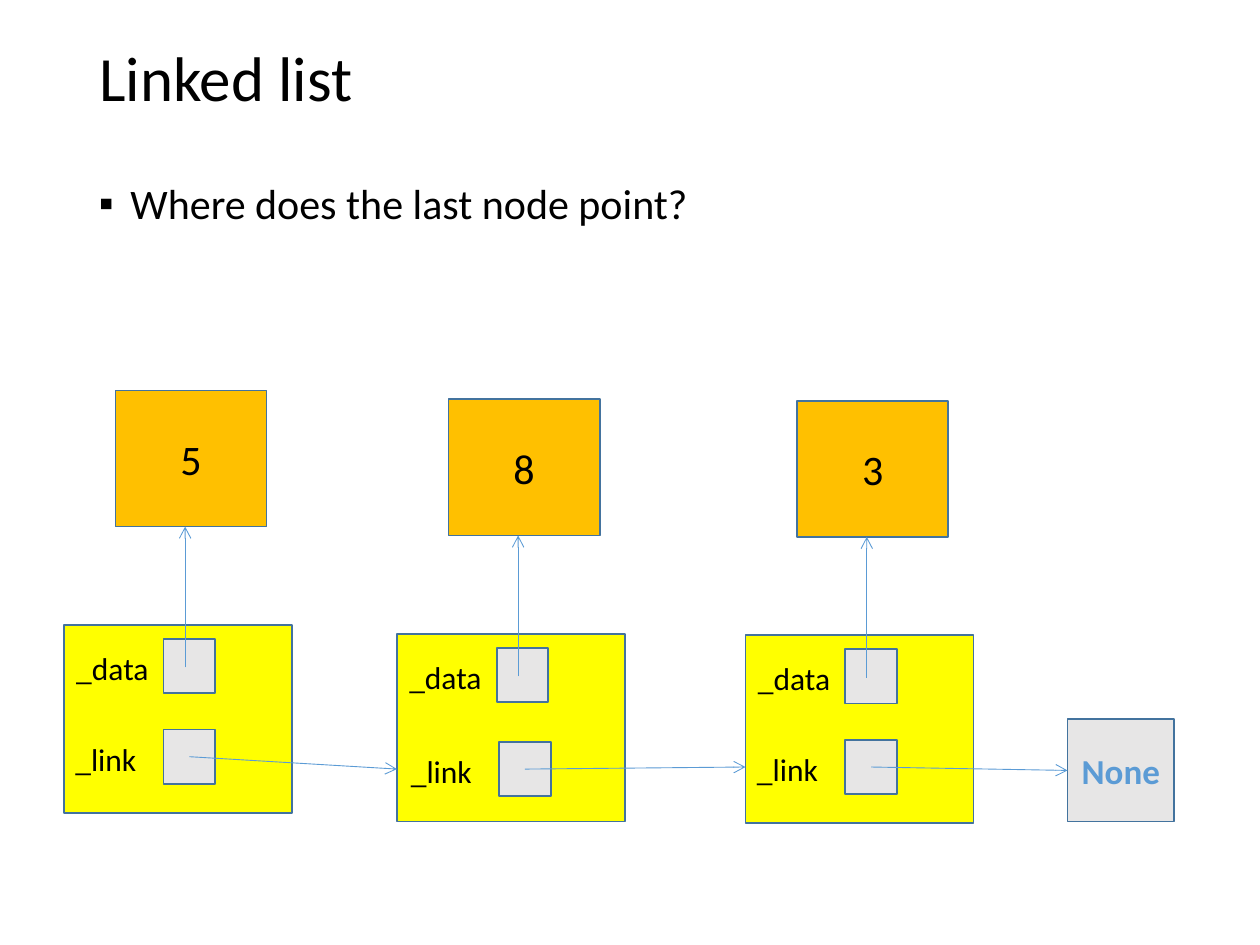
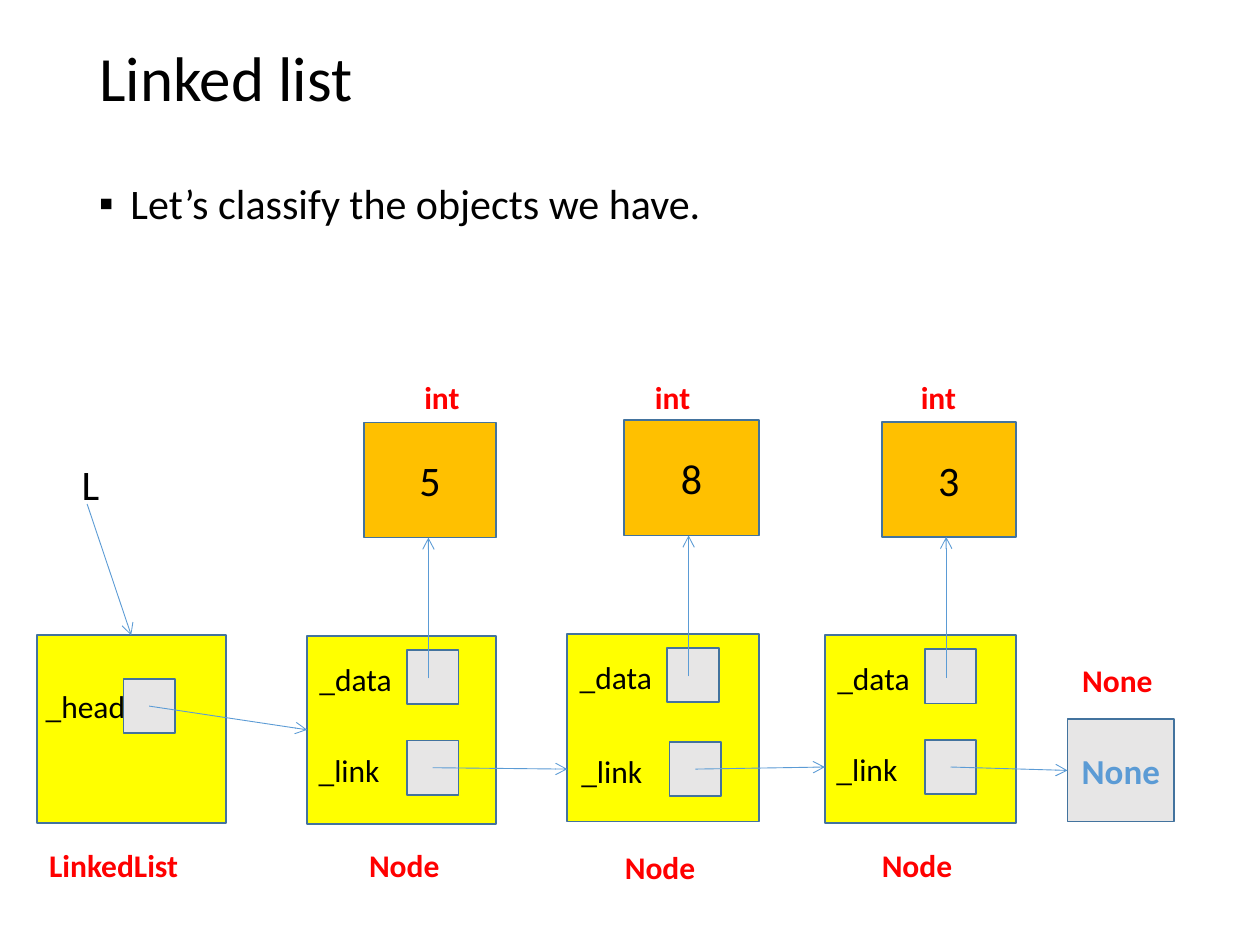
from dataclasses import dataclass

from lxml.etree import SubElement
from pptx import Presentation
from pptx.dml.color import RGBColor
from pptx.enum.shapes import MSO_CONNECTOR, MSO_SHAPE
from pptx.enum.text import MSO_ANCHOR, PP_ALIGN
from pptx.oxml.ns import qn
from pptx.util import Pt

FONT = "Calibri"
BLACK = RGBColor(0x00, 0x00, 0x00)
RED = RGBColor(0xFF, 0x00, 0x00)
YELLOW = RGBColor(0xFF, 0xFF, 0x00)
ORANGE = RGBColor(0xFF, 0xC0, 0x00)
GREY = RGBColor(0xE7, 0xE6, 0xE6)
BLUE = RGBColor(0x5B, 0x9B, 0xD5)
OUTLINE = RGBColor(0x43, 0x73, 0x9E)

NODE_HEIGHT = 107.3
CELL_WIDTH, CELL_HEIGHT = 29.5, 31
LABEL_HEIGHT = 29
VALUE_GAP = 56.2


@dataclass
class Box:
    """A rectangle in points."""

    left: float
    top: float
    width: float
    height: float

    @property
    def center(self):
        """Return the middle point."""
        return self.left + self.width / 2, self.top + self.height / 2

    def lengths(self):
        """Return the four lengths for python-pptx."""
        return [Pt(n) for n in (self.left, self.top, self.width, self.height)]


def style_text(frame, text, size, color=BLACK, bold=False):
    """Write one paragraph and format its run."""
    frame.text = text
    paragraph = frame.paragraphs[0]
    font = paragraph.runs[0].font
    font.name, font.size, font.bold = FONT, Pt(size), bold
    font.color.rgb = color
    return paragraph


def add_label(slide, box, text, size=18, color=BLACK, bold=False, wrap=False):
    """Add plain text in a box."""
    frame = slide.shapes.add_textbox(*box.lengths()).text_frame
    frame.word_wrap = wrap
    return style_text(frame, text, size, color, bold)


def add_block(slide, box, fill, text="", size=24, color=BLACK, bold=False):
    """Add an outlined rectangle with optional centred text."""
    block = slide.shapes.add_shape(MSO_SHAPE.RECTANGLE, *box.lengths())
    block.shadow.inherit = False
    block.fill.solid()
    block.fill.fore_color.rgb = fill
    block.line.color.rgb = OUTLINE
    block.line.width = Pt(1)
    if text:
        block.text_frame.vertical_anchor = MSO_ANCHOR.MIDDLE
        paragraph = style_text(block.text_frame, text, size, color, bold)
        paragraph.alignment = PP_ALIGN.CENTER


def add_arrow(slide, start, end):
    """Add a thin straight arrow between two points."""
    arrow = slide.shapes.add_connector(
        MSO_CONNECTOR.STRAIGHT, *[Pt(n) for n in (*start, *end)])
    arrow.line.color.rgb = BLUE
    arrow.line.width = Pt(0.5)
    SubElement(arrow.line._get_or_add_ln(), qn("a:tailEnd"), type="arrow")
    SubElement(arrow._element.spPr, qn("a:effectLst"))


def add_heading(slide, box, question):
    """Place the title and the bulleted line under it."""
    title = slide.shapes.title
    title.left, title.top, title.width, title.height = Box(
        box.left, box.top, box.width, 88.5).lengths()
    title.text_frame.vertical_anchor = MSO_ANCHOR.MIDDLE
    heading = style_text(title.text_frame, "Linked list", 36)
    heading.alignment = PP_ALIGN.LEFT
    heading.line_spacing = 0.9

    bullet = add_label(slide, Box(box.left, box.top + 81.3, box.width, 70.5),
                       question, 24, wrap=True)
    bullet.line_spacing = 1.5
    properties = bullet._p.get_or_add_pPr()
    properties.set("marL", str(Pt(18)))
    properties.set("indent", str(-Pt(18)))
    SubElement(properties, qn("a:buFont"), typeface="Arial")
    SubElement(properties, qn("a:buChar"), char="▪")


def add_cell(slide, left, top):
    """Add a reference cell and return its centre."""
    cell = Box(left, top, CELL_WIDTH, CELL_HEIGHT)
    add_block(slide, cell, GREY)
    return cell.center


def add_node(slide, box, value, value_box, link_shift):
    """Add a node with its value and return the centre of its link cell."""
    shift_x, shift_y = link_shift
    add_block(slide, box, YELLOW)
    add_cell(slide, box.left + 57, box.top + 8)
    add_block(slide, value_box, ORANGE, value)
    add_arrow(slide, (box.left + 69.3, box.top + 24.3),
              (box.left + 69.3, box.top - VALUE_GAP))
    add_label(slide, Box(box.left, box.top + 10, 56, LABEL_HEIGHT), "_data")
    add_label(slide, Box(box.left - 0.5 + shift_x, box.top + 62 + shift_y,
                         50, LABEL_HEIGHT), "_link")
    return add_cell(slide, box.left + 57 + shift_x, box.top + 59.8 + shift_y)


def add_chain(slide, nodes, value_left, value_height):
    """Add the three nodes, the None block and the links between them."""
    end = Box(610, 411, 61, 58.5)
    shifts = [(0, 0), (1.4, 2), (0, 0)]
    links = []
    for node, value, shift in zip(nodes, "583", shifts):
        value_width = min(86.4, node.width - value_left)
        bottom = node.top - VALUE_GAP
        value_box = Box(node.left + value_left, bottom - value_height,
                        value_width, value_height)
        links.append(add_node(slide, node, value, value_box, shift))
    add_block(slide, end, GREY, "None", 20, BLUE, True)
    entries = [(node.left, link[1]) for node, link in zip(nodes[1:], links[1:])]
    for link, entry in zip(links, entries + [(end.left, end.center[1])]):
        add_arrow(slide, link, entry)


def add_list_object(slide, box, first_node):
    """Add the list object, its variable L and the link to the first node."""
    add_block(slide, box, YELLOW)
    head = add_cell(slide, box.left + 49.5, box.top + 25)
    add_label(slide, Box(box.left - 2, box.top + 26, 60.5, LABEL_HEIGHT), "_head")
    add_arrow(slide, head, (first_node.left, first_node.center[1]))
    add_label(slide, Box(box.left + 18.5, box.top - 104.5, 39.5, 36), "L", 24,
              wrap=True)
    add_arrow(slide, (box.left + 28.8, box.top - 75), (box.center[0], box.top))


def add_type_names(slide, names):
    """Add a red type name at each given place."""
    for text, left, top, width in names:
        add_label(slide, Box(left, top, width, LABEL_HEIGHT), text,
                  color=RED, bold=True, wrap=True)


def add_list_slide(deck, question, lefts, tops, widths, value_left, value_height):
    """Add a slide with a heading and a chain, and return it with its nodes."""
    slide = deck.slides.add_slide(deck.slide_layouts[5])
    add_heading(slide, Box(49.5, 2.2, 621, 152), question)
    nodes = [Box(left, top, width, NODE_HEIGHT)
             for left, top, width in zip(lefts, tops, widths)]
    add_chain(slide, nodes, value_left, value_height)
    return slide, nodes


def main():
    """Build both slides and save the deck."""
    deck = Presentation()
    deck.slide_width, deck.slide_height = Pt(720), Pt(540)

    add_list_slide(deck, "Where does the last node point?",
                   (36.5, 226.8, 426), (357.1, 362.2, 363),
                   (130.3, 130.3, 130.3), 29.5, 77.8)

    slide, nodes = add_list_slide(deck, "Let’s classify the objects we have.",
                                  (175.5, 324.2, 471.4), (363.4, 362.2, 363),
                                  (108, 109.5, 109), 32.5, 65.8)
    add_list_object(slide, Box(21, 363, 108, NODE_HEIGHT), nodes[0])
    add_type_names(slide, [("int", left, 212.5, 44)
                           for left in (235.4, 367.2, 519.1)])
    add_type_names(slide, [("Node", left, top, 58.5) for left, top in
                           ((203.8, 480), (350, 481), (496.8, 480))])
    add_type_names(slide, [("None", 611.3, 374.4, 58.5),
                           ("LinkedList", 21, 480, 108)])
    deck.save("out.pptx")


main()
